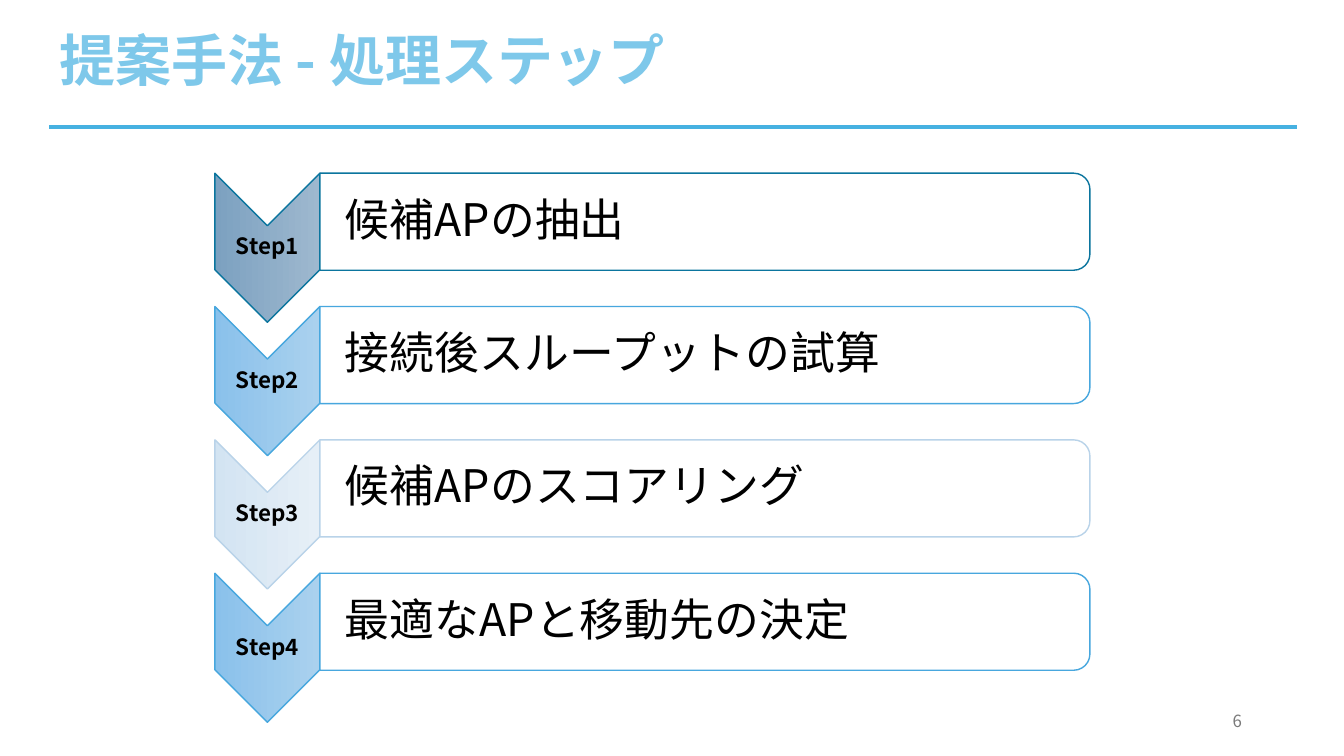
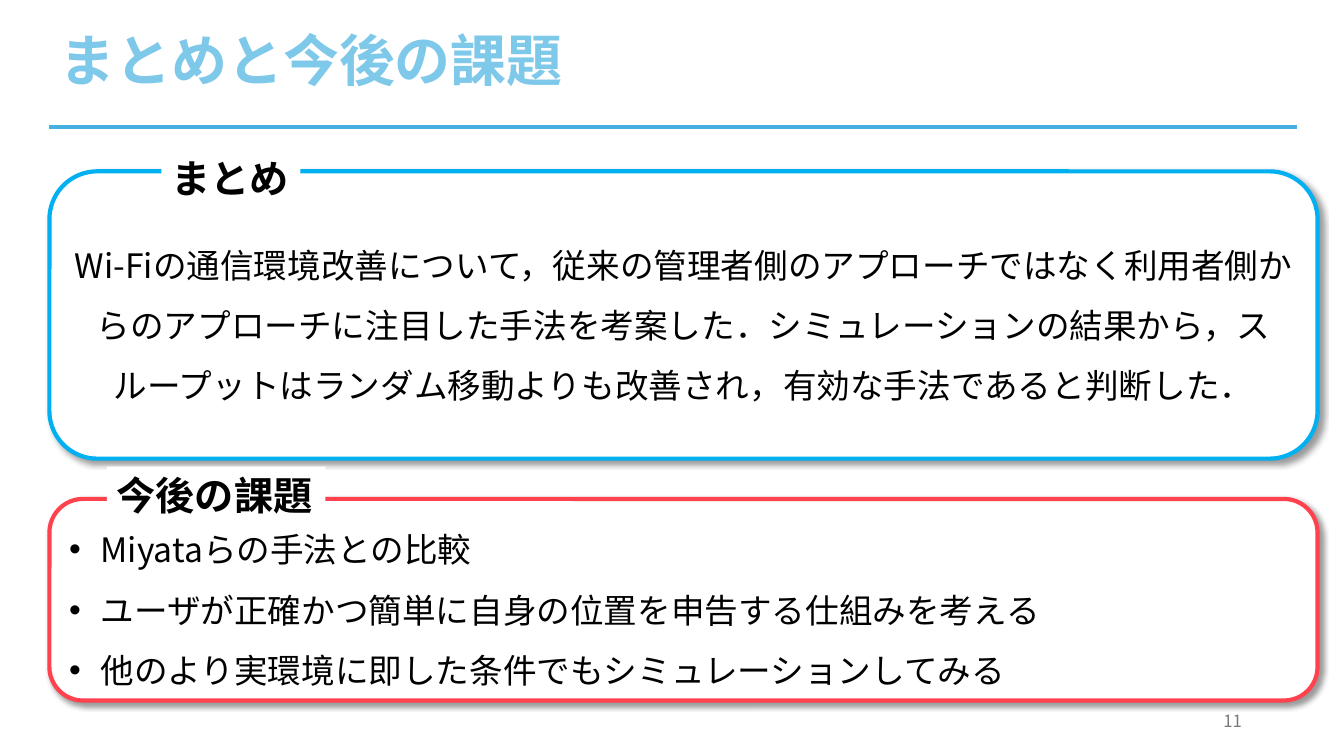
from dataclasses import dataclass

import pptx
import pptx.dml.color
import pptx.enum.dml
import pptx.enum.shapes
import pptx.enum.text
import pptx.oxml
import pptx.oxml.ns
import pptx.util
from lxml import etree

Pt = pptx.util.Pt
RGBColor = pptx.dml.color.RGBColor
Shape = pptx.enum.shapes.MSO_SHAPE
Align = pptx.enum.text.PP_ALIGN
Anchor = pptx.enum.text.MSO_ANCHOR
qn = pptx.oxml.ns.qn

# Shared style
FONT = "Noto Sans CJK JP"
BLACK = RGBColor(0x00, 0x00, 0x00)
WHITE = RGBColor(0xFF, 0xFF, 0xFF)
TITLE_BLUE = RGBColor(0x7E, 0xC8, 0xEA)
RULE_BLUE = RGBColor(0x46, 0xB1, 0xE1)
NUMBER_GRAY = RGBColor(0x79, 0x79, 0x79)
SUMMARY_BLUE = RGBColor(0x00, 0xB0, 0xF0)
FUTURE_RED = RGBColor(0xFF, 0x42, 0x4E)
MARGIN = 35.3
HEADER_WIDTH = 891.4
HEADER_HEIGHT = 90.7
BULLET_INDENT = 22.5


@dataclass(frozen=True)
class StepColors:
    light: RGBColor
    dark: RGBColor
    edge: RGBColor


@dataclass(frozen=True)
class Step:
    label: str
    text: str
    colors: StepColors


@dataclass(frozen=True)
class Panel:
    heading: str
    body: str
    color: RGBColor
    top: float
    height: float
    heading_box: tuple[float, float, float, float]
    bulleted: bool


SLATE = StepColors(RGBColor(0x9E, 0xB8, 0xCF), RGBColor(0x7C, 0xA1, 0xC0),
                   RGBColor(0x0B, 0x75, 0x9E))
SKY = StepColors(RGBColor(0xAA, 0xD1, 0xEE), RGBColor(0x8A, 0xC1, 0xEB),
                 RGBColor(0x47, 0xA7, 0xDE))
PALE = StepColors(RGBColor(0xE6, 0xEF, 0xF7), RGBColor(0xD3, 0xE4, 0xF2),
                  RGBColor(0xB9, 0xD3, 0xE9))

STEPS = [
    Step("Step1", "候補APの抽出", SLATE),
    Step("Step2", "接続後スループットの試算", SKY),
    Step("Step3", "候補APのスコアリング", PALE),
    Step("Step4", "最適なAPと移動先の決定", SKY),
]

# Listed from back to front
PANELS = [
    Panel("今後の課題",
          "Miyataらの手法との比較\n"
          "ユーザが正確かつ簡単に自身の位置を申告する仕組みを考える\n"
          "他のより実環境に即した条件でもシミュレーションしてみる",
          FUTURE_RED, 356.4, 144, (76.3, 333.4, 156.2, 41), True),
    Panel("まとめ",
          "Wi-Fiの通信環境改善について，従来の管理者側のアプローチではなく"
          "利用者側からのアプローチに注目した手法を考案した．"
          "シミュレーションの結果から，スループットはランダム移動よりも改善され，"
          "有効な手法であると判断した．",
          SUMMARY_BLUE, 122.4, 205.2, (115.2, 106.6, 99.4, 41), False),
]


# Text
def write_text(frame, text: str, *, size: float, color: RGBColor = BLACK,
               bold: bool = False, align=Align.LEFT, anchor=Anchor.MIDDLE,
               spacing: float = 1.0, wrap: bool = True, bulleted: bool = False,
               insets: tuple[float, float, float, float] = (7.2, 3.6, 7.2, 3.6)) -> None:
    frame.word_wrap = wrap
    frame.vertical_anchor = anchor
    (frame.margin_left, frame.margin_top,
     frame.margin_right, frame.margin_bottom) = map(Pt, insets)
    for index, line in enumerate(text.split("\n")):
        paragraph = frame.add_paragraph() if index else frame.paragraphs[0]
        paragraph.alignment = align
        paragraph.line_spacing = spacing
        if bulleted:
            add_bullet(paragraph)
        run = paragraph.add_run()
        run.text = line
        font = run.font
        font.name, font.size, font.bold = FONT, Pt(size), bold
        font.color.rgb = color
        latin = run._r.get_or_add_rPr().find(qn("a:latin"))
        east_asian = etree.Element(qn("a:ea"), typeface=FONT)
        latin.addnext(east_asian)


def add_bullet(paragraph) -> None:
    properties = paragraph._p.get_or_add_pPr()
    properties.set("marL", str(Pt(BULLET_INDENT)))
    properties.set("indent", str(-Pt(BULLET_INDENT)))
    etree.SubElement(properties, qn("a:buFont"), typeface="Arial")
    etree.SubElement(properties, qn("a:buChar"), char="•")


def add_text(slide, box: tuple[float, float, float, float], text: str, **text_format):
    text_box = slide.shapes.add_textbox(*map(Pt, box))
    write_text(text_box.text_frame, text, **text_format)
    return text_box


# Shapes
def add_outlined(slide, kind, box: tuple[float, float, float, float],
                 edge: RGBColor, weight: float):
    shape = slide.shapes.add_shape(kind, *map(Pt, box))
    shape.shadow.inherit = False
    shape.fill.solid()
    shape.fill.fore_color.rgb = WHITE
    shape.line.color.rgb = edge
    shape.line.width = Pt(weight)
    return shape


def add_turned(slide, kind, left: float, top: float, width: float, height: float,
               edge: RGBColor):
    """Draw a shape turned by 90 degrees that covers the given box."""
    shift = (width - height) / 2
    shape = add_outlined(slide, kind, (left + shift, top - shift, height, width), edge, 1)
    shape.rotation = 90
    return shape


def add_drop_shadow(shape) -> None:
    effects = shape._element.spPr.find(qn("a:effectLst"))
    shadow = etree.SubElement(effects, qn("a:outerShdw"), blurRad=str(Pt(4)),
                              dist=str(Pt(3)), dir="2700000", algn="tl", rotWithShape="0")
    shade = etree.SubElement(shadow, qn("a:srgbClr"), val=str(BLACK))
    etree.SubElement(shade, qn("a:alpha"), val="40000")


# Title, rule and page number
def add_page(deck, title: str, number: int):
    slide = deck.slides.add_slide(deck.slide_layouts[6])
    rule = slide.shapes.add_connector(
        pptx.enum.shapes.MSO_CONNECTOR.STRAIGHT, Pt(MARGIN), Pt(HEADER_HEIGHT),
        Pt(MARGIN + HEADER_WIDTH), Pt(HEADER_HEIGHT))
    rule.line.color.rgb = RULE_BLUE
    rule.line.width = Pt(2.25)
    etree.SubElement(rule._element.spPr, qn("a:effectLst"))
    add_text(slide, (MARGIN, 0, HEADER_WIDTH, HEADER_HEIGHT), title,
             size=40, color=TITLE_BLUE, bold=True, spacing=0.9)
    add_text(slide, (678.2, 500.4, 216, 28.8), str(number),
             size=12, color=NUMBER_GRAY, align=Align.RIGHT)
    return slide


# Process steps
def add_step(slide, step: Step, top: float) -> None:
    left, chevron_width, chevron_height = 153.5, 75, 106.5
    bar_left, bar_width, bar_height = left + chevron_width, 550, 69.3
    colors = step.colors

    chevron = add_turned(slide, Shape.CHEVRON, left, top, chevron_width,
                         chevron_height, colors.edge)
    chevron.fill.gradient()
    chevron.fill.gradient_angle = 270
    for stop, color in zip(chevron.fill.gradient_stops, (colors.light, colors.dark)):
        stop.color.rgb = color
    for stop, position in zip(chevron.fill.gradient_stops, (0, 1)):
        stop.position = position
    add_text(slide, (left, top + chevron_width / 2, chevron_width,
                     chevron_height - chevron_width), step.label,
             size=16, bold=True, align=Align.CENTER, spacing=0.9,
             insets=(0.8, 0.8, 0.8, 0.8))

    add_turned(slide, Shape.ROUND_2_SAME_RECTANGLE, bar_left, top, bar_width,
               bar_height, colors.edge)
    add_text(slide, (bar_left, top + 3.4, bar_width - 3.4, bar_height - 6.8), step.text,
             size=32, spacing=0.9, insets=(17.9, 1.6, 1.6, 1.6))


def build_steps(deck) -> None:
    slide = add_page(deck, "提案手法 - 処理ステップ", 6)
    first_top, pitch = 123.7, 95.25
    for index, step in enumerate(STEPS):
        add_step(slide, step, first_top + index * pitch)


# Summary and future work
def build_summary(deck) -> None:
    slide = add_page(deck, "まとめと今後の課題", 11)
    for panel in PANELS:
        frame = add_outlined(slide, Shape.ROUNDED_RECTANGLE,
                             (MARGIN, panel.top, 905.8, panel.height), panel.color, 3)
        add_drop_shadow(frame)
        write_text(frame.text_frame, panel.body, size=24, spacing=1.5,
                   align=Align.LEFT if panel.bulleted else Align.CENTER,
                   bulleted=panel.bulleted)
    for panel in reversed(PANELS):
        heading = add_text(slide, panel.heading_box, panel.heading, size=28, bold=True,
                           anchor=Anchor.TOP, wrap=False)
        heading.text_frame.auto_size = pptx.enum.text.MSO_AUTO_SIZE.SHAPE_TO_FIT_TEXT
        heading.fill.solid()
        heading.fill.fore_color.rgb = WHITE


def main() -> None:
    deck = pptx.Presentation()
    deck.slide_width, deck.slide_height = Pt(960), Pt(540)
    build_steps(deck)
    build_summary(deck)
    deck.save("out.pptx")


if __name__ == "__main__":
    main()
